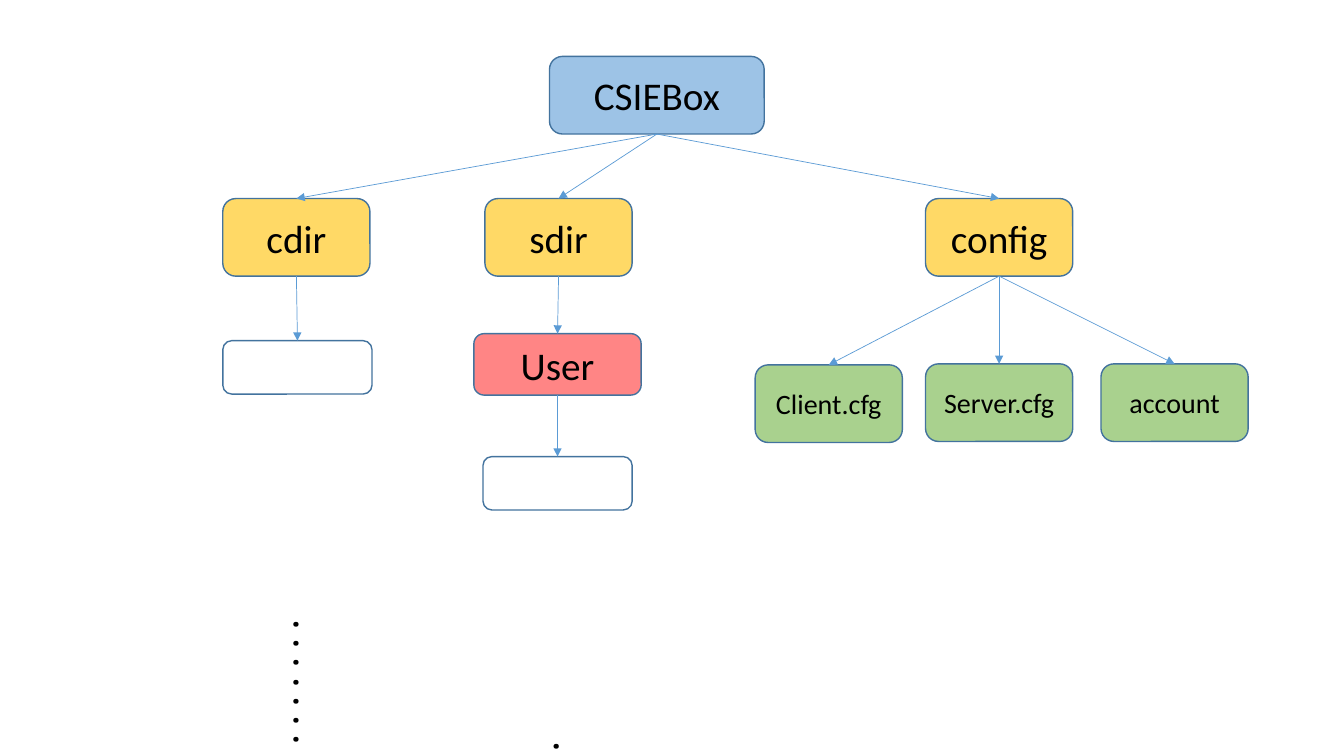
from dataclasses import dataclass

from lxml import etree
from pptx import Presentation
from pptx.dml.color import RGBColor
from pptx.enum.shapes import MSO_CONNECTOR, MSO_SHAPE
from pptx.enum.text import MSO_ANCHOR, MSO_AUTO_SIZE, PP_ALIGN
from pptx.oxml.ns import qn
from pptx.shapes.autoshape import Shape
from pptx.slide import Slide
from pptx.text.text import _Paragraph
from pptx.util import Emu, Pt

ROUNDED = MSO_SHAPE.ROUNDED_RECTANGLE
STRAIGHT = MSO_CONNECTOR.STRAIGHT
CENTER = PP_ALIGN.CENTER
MIDDLE = MSO_ANCHOR.MIDDLE
GROW = MSO_AUTO_SIZE.SHAPE_TO_FIT_TEXT

EMU_PER_PX = 9144
SLIDE_SIZE = (1333, 750)
FONT = "Calibri"
BLACK = "000000"
BLUE = "9DC3E6"
YELLOW = "FFD966"
GREEN = "A9D18E"
RED = "FF8585"
WHITE = "FFFFFF"
OUTLINE = "43739E"
ARROW = "5B9BD5"
TOP, BOTTOM = 0, 2


@dataclass(frozen=True)
class Node:
    name: str
    parent: str
    left: int
    top: int
    width: int
    height: int
    fill: str
    label: str = ""
    size: int = 28


@dataclass(frozen=True)
class Dots:
    left: int
    top: int


NODES = [
    Node("root", "", 545, 56, 213, 77, BLUE, "CSIEBox"),
    Node("cdir", "root", 221, 197, 146, 77, YELLOW, "cdir"),
    Node("sdir", "root", 481, 197, 146, 77, YELLOW, "sdir"),
    Node("config", "root", 918, 197, 146, 77, YELLOW, "config"),
    Node("client", "config", 749, 362, 146, 77, GREEN, "Client.cfg", 20),
    Node("server", "config", 918, 361, 146, 77, GREEN, "Server.cfg", 20),
    Node("account", "config", 1092, 361, 146, 77, GREEN, "account", 20),
    Node("cdir content", "cdir", 221, 338, 148, 53, WHITE),
    Node("user", "sdir", 470, 331, 166, 61, RED, "User"),
    Node("user content", "user", 479, 453, 148, 53, WHITE),
]
DOTS = [Dots(519, 514), Dots(261, 393)]
DOTS_SIZE = (67, 161)
DOTS_TEXT = "‧ ‧ ‧ ‧ ‧ ‧ ‧"


def px(length: int) -> Emu:
    return Emu(length * EMU_PER_PX)


def color(value: str) -> RGBColor:
    return RGBColor.from_string(value)


def add_run(para: _Paragraph, text: str, size: int) -> None:
    span = para.add_run()
    span.text = text
    span.font.name = FONT
    span.font.size = Pt(size)
    span.font.color.rgb = color(BLACK)


def add_node(page: Slide, node: Node) -> Shape:
    box = page.shapes.add_shape(
        ROUNDED, px(node.left), px(node.top), px(node.width), px(node.height)
    )
    box.shadow.inherit = False
    box.fill.solid()
    box.fill.fore_color.rgb = color(node.fill)
    box.line.color.rgb = color(OUTLINE)
    box.line.width = Pt(1)
    if node.label:
        box.text_frame.vertical_anchor = MIDDLE
        para = box.text_frame.paragraphs[0]
        para.alignment = CENTER
        add_run(para, node.label, node.size)
    return box


def add_arrow(page: Slide, parent: Shape, child: Shape) -> None:
    arrow = page.shapes.add_connector(STRAIGHT, 0, 0, 0, 0)
    arrow.begin_connect(parent, BOTTOM)
    arrow.end_connect(child, TOP)
    arrow.line.color.rgb = color(ARROW)
    arrow.line.width = Pt(0.5)
    etree.SubElement(arrow.line._get_or_add_ln(), qn("a:tailEnd"), type="triangle")
    etree.SubElement(arrow._element.spPr, qn("a:effectLst"))


def add_dots(page: Slide, dots: Dots) -> None:
    width, height = DOTS_SIZE
    box = page.shapes.add_textbox(px(dots.left), px(dots.top), px(width), px(height))
    frame = box.text_frame
    frame.word_wrap = False
    frame.auto_size = GROW
    frame._txBody.bodyPr.set("vert", "eaVert")
    add_run(frame.paragraphs[0], DOTS_TEXT, 28)


def main() -> None:
    deck = Presentation()
    deck.slide_width, deck.slide_height = map(px, SLIDE_SIZE)
    page = deck.slides.add_slide(deck.slide_layouts[6])
    boxes = {node.name: add_node(page, node) for node in NODES}
    for node in NODES:
        if node.parent:
            add_arrow(page, boxes[node.parent], boxes[node.name])
    for dots in DOTS:
        add_dots(page, dots)
    deck.save("out.pptx")


if __name__ == "__main__":
    main()
